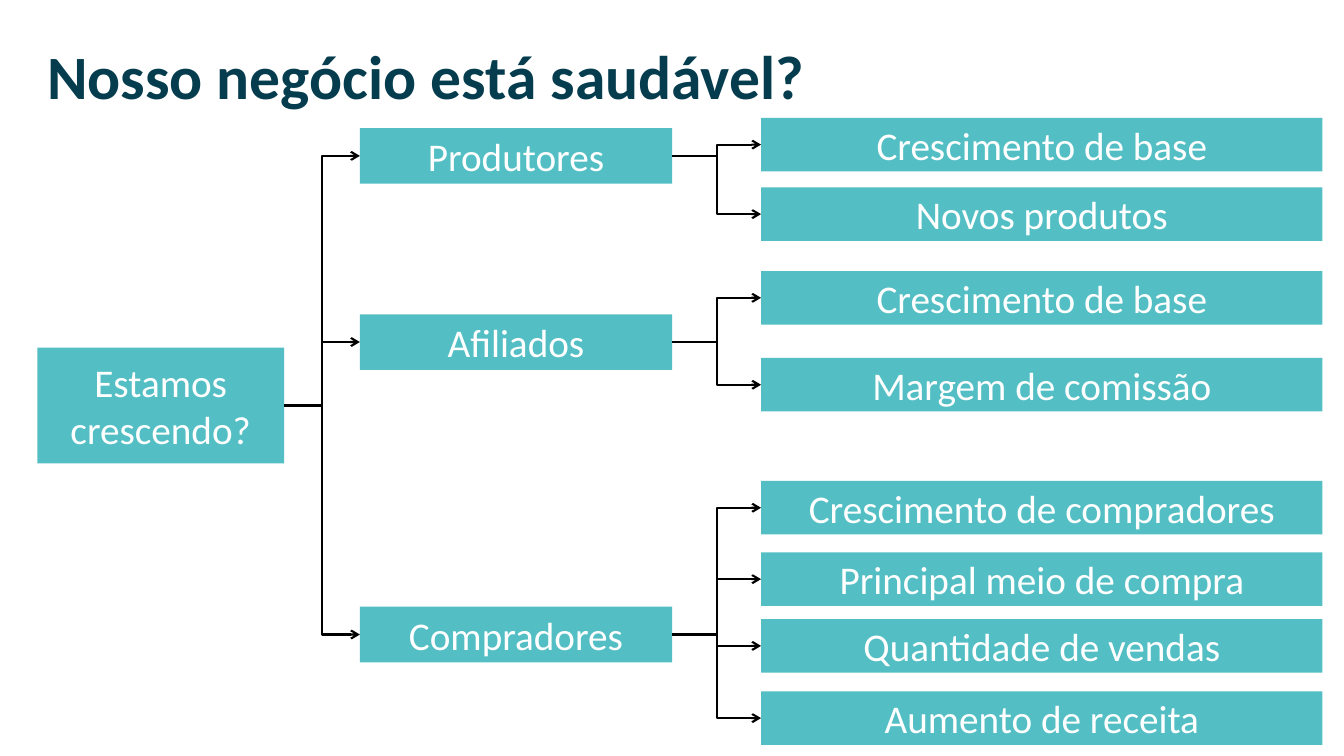
from lxml import etree
from pptx import Presentation
from pptx.dml.color import RGBColor
from pptx.enum.shapes import MSO_CONNECTOR, MSO_SHAPE
from pptx.enum.text import MSO_ANCHOR, MSO_AUTO_SIZE, PP_ALIGN
from pptx.oxml.ns import qn
from pptx.util import Cm, Pt

RECT = MSO_SHAPE.RECTANGLE
ELBOW = MSO_CONNECTOR.ELBOW
MIDDLE = MSO_ANCHOR.MIDDLE
CENTER, LEFT = PP_ALIGN.CENTER, PP_ALIGN.LEFT
FIXED = MSO_AUTO_SIZE.NONE

FONT = "Calibri"
COLORS = {"title": "053D4E", "box": "53BFC4", "text": "FFFFFF", "line": "000000"}

ROOT = ("Estamos crescendo?", 5.79)
TREE = [
    ("Produtores", 0.26, [("Crescimento de base", 0), ("Novos produtos", 1.75)]),
    ("Afiliados", 4.95, [("Crescimento de base", 3.86), ("Margem de comissão", 6.05)]),
    ("Compradores", 12.32, [
        ("Crescimento de compradores", 9.15),
        ("Principal meio de compra", 10.95),
        ("Quantidade de vendas", 12.63),
        ("Aumento de receita", 14.45),
    ]),
]


def color(name):
    """Return the named colour."""
    return RGBColor.from_string(COLORS[name])


def style(para, size, name, align):
    """Format one paragraph."""
    para.alignment = align
    para.font.name = FONT
    para.font.size = Pt(size)
    para.font.color.rgb = color(name)


def add_title(slide, text, box):
    """Fill the title placeholder and fit it to the box."""
    title = slide.shapes.title
    title.left, title.top, title.width, title.height = map(Cm, box)
    frame = title.text_frame
    frame.text = text
    frame.word_wrap = True
    frame.auto_size = FIXED
    frame.vertical_anchor = MIDDLE
    para = frame.paragraphs[0]
    style(para, 44, "title", LEFT)
    para.font.bold = True


def add_node(slide, text, box):
    """Draw one labelled box of the tree."""
    node = slide.shapes.add_shape(RECT, *map(Cm, box))
    node.shadow.inherit = False
    node.fill.solid()
    node.fill.fore_color.rgb = color("box")
    node.line.fill.background()
    frame = node.text_frame
    frame.text = text
    frame.word_wrap = True
    frame.vertical_anchor = MIDDLE
    style(frame.paragraphs[0], 28, "text", CENTER)
    return node


def join(slide, start, end):
    """Draw an elbow arrow from the right of start to the left of end."""
    link = slide.shapes.add_connector(ELBOW, 0, 0, 0, 0)
    link.begin_connect(start, 3)
    link.end_connect(end, 1)
    link.line.color.rgb = color("line")
    link.line.width = Pt(1.5)
    tail = etree.SubElement(link.line._get_or_add_ln(), qn("a:tailEnd"))
    tail.set("type", "arrow")
    etree.SubElement(link._element.spPr, qn("a:effectLst"))


def add_tree(slide, box):
    """Place the root, its branches and their leaves within the box."""
    left, top, width, _ = box
    text, drop = ROOT
    root = add_node(slide, text, (left, top + drop, 6.22, 2.92))
    for text, drop, leaves in TREE:
        branch = add_node(slide, text, (left + 8.13, top + drop, 7.87, 1.4))
        join(slide, root, branch)
        for label, fall in leaves:
            leaf = add_node(slide, label, (left + width - 14.15, top + fall, 14.15, 1.35))
            join(slide, branch, leaf)


def main():
    """Build and save the slide."""
    deck = Presentation()
    deck.slide_width, deck.slide_height = Cm(33.87), Cm(19.05)
    slide = deck.slides.add_slide(deck.slide_layouts[5])
    add_title(slide, "Nosso negócio está saudável?", (0.94, 0.81, 32, 2.13))
    add_tree(slide, (0.94, 2.97, 32.39, 15.8))
    deck.save("out.pptx")


if __name__ == "__main__":
    main()
